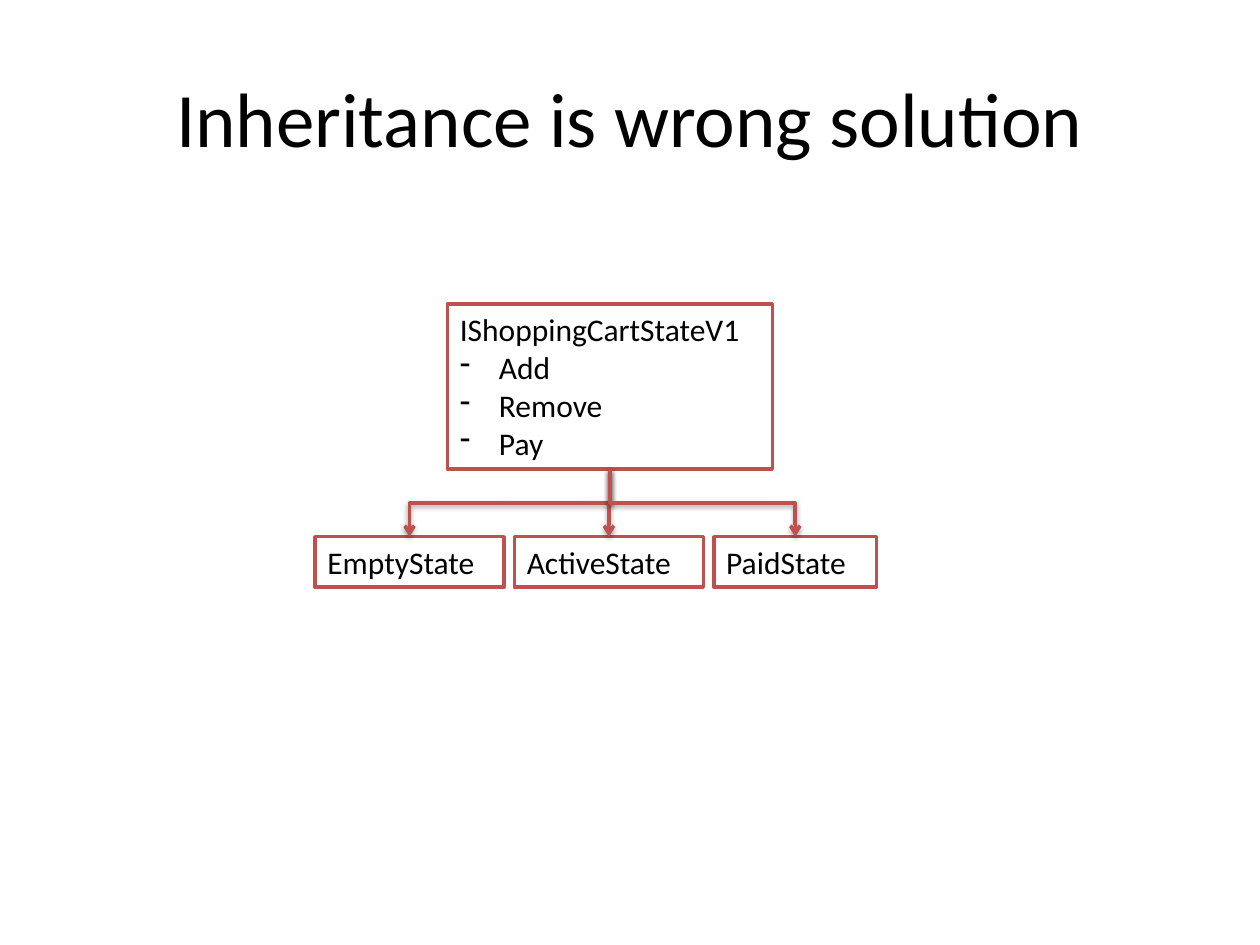
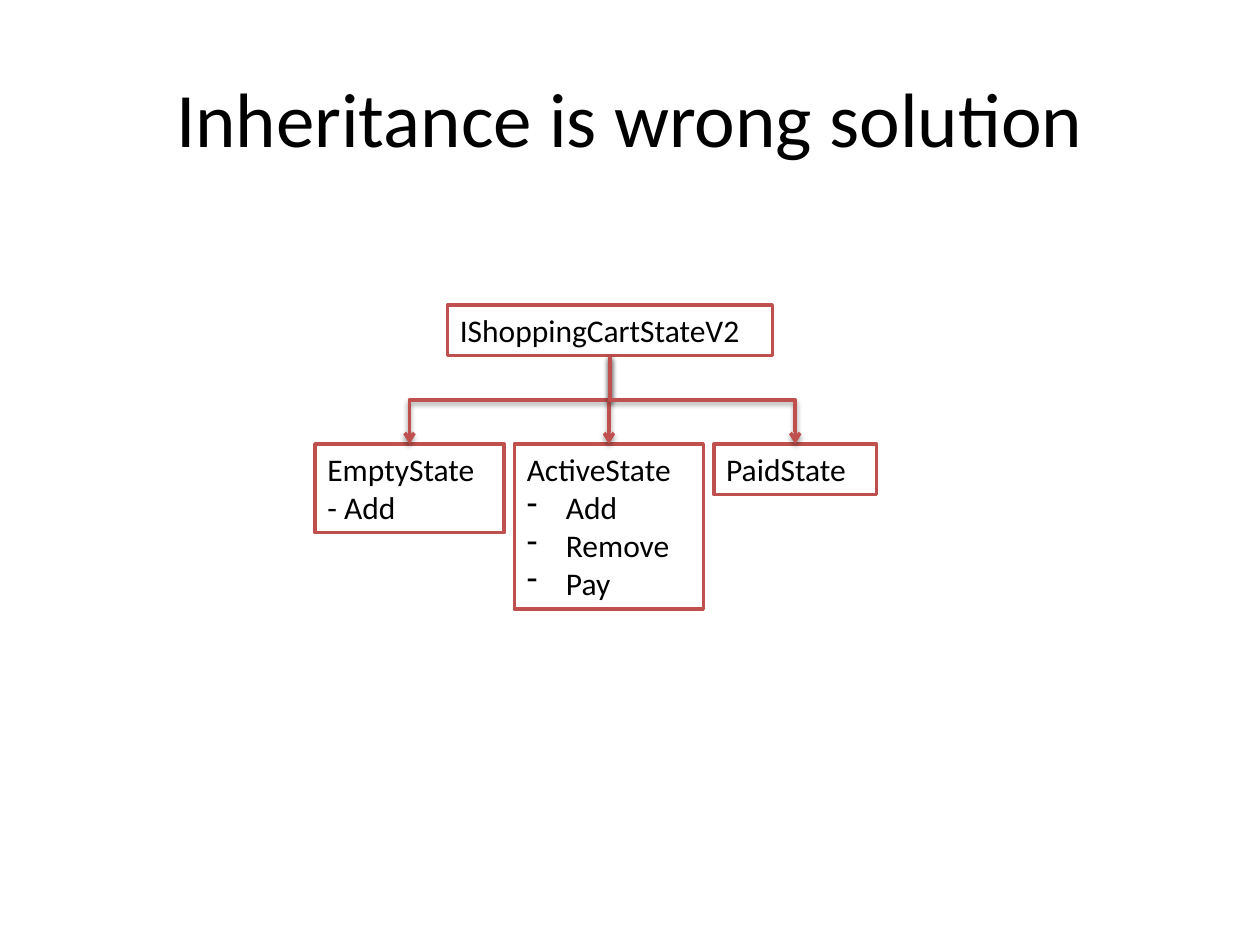
from dataclasses import dataclass

from lxml import etree
from pptx import Presentation
from pptx import util as u
from pptx.dml.color import RGBColor
from pptx.enum import shapes, text
from pptx.oxml import parse_xml
from pptx.oxml.ns import nsdecls, qn


@dataclass(frozen=True)
class Theme:
    """Colours, font and sizes that all slides share."""
    ink: str = "000000"
    paper: str = "FFFFFF"
    accent: str = "C0504D"
    font: str = "Calibri"
    title_size: int = 44
    body_size: int = 18
    line_width: int = 2
    indent: float = 0.79


# Diagram measures in centimetres
ROOT_LEFT, ROOT_WIDTH = 9.02, 6.55
ROW_LEFT, ROW_GAP = 6.35, 0.21
STATE_WIDTHS = (3.81, 3.81, 3.28)
BOX_PADDING, LINE_HEIGHT = 0.25, 0.77

SHADOW = (
    f'<a:effectLst {nsdecls("a")}>'
    '<a:outerShdw blurRad="40000" dist="20000" dir="5400000" rotWithShape="0">'
    '<a:srgbClr val="000000"><a:alpha val="38000"/></a:srgbClr>'
    '</a:outerShdw></a:effectLst>'
)


def write(p, words, theme, size, align=None, bullet=None):
    """Put formatted words into a paragraph, with a hanging bullet if given."""
    r = p.add_run()
    r.text = words
    r.font.name = theme.font
    r.font.size = u.Pt(size)
    r.font.color.rgb = RGBColor.from_string(theme.ink)
    p.alignment = align or text.PP_ALIGN.LEFT
    if bullet:
        indent = u.Cm(theme.indent)
        pPr = p._p.get_or_add_pPr()
        pPr.set("marL", str(indent))
        pPr.set("indent", str(-indent))
        etree.SubElement(pPr, qn("a:buFontTx"))
        etree.SubElement(pPr, qn("a:buChar")).set("char", bullet)


class Deck:
    """Holds the style and the slide being drawn."""

    def __init__(self, theme):
        """Start an empty 10 by 7.5 inch presentation."""
        self.theme = theme
        self.prs = Presentation()
        self.prs.slide_width, self.prs.slide_height = u.Cm(25.4), u.Cm(19.05)

    def slide(self, title):
        """Add a blank slide with its background and centred title."""
        self.s = self.prs.slides.add_slide(self.prs.slide_layouts[6])
        fill = self.s.background.fill
        fill.solid()
        fill.fore_color.rgb = RGBColor.from_string(self.theme.paper)
        sp = self.s.shapes.add_textbox(u.Cm(1.27), u.Cm(0.76), u.Cm(22.86), u.Cm(3.18))
        tf = sp.text_frame
        tf.word_wrap = True
        tf.vertical_anchor = text.MSO_ANCHOR.MIDDLE
        write(tf.paragraphs[0], title, self.theme, self.theme.title_size,
              align=text.PP_ALIGN.CENTER)

    def stroke(self, line):
        """Apply the shared outline."""
        line.color.rgb = RGBColor.from_string(self.theme.accent)
        line.width = u.Pt(self.theme.line_width)

    def box(self, group, left, top, width, name, members=(), bullet="-"):
        """Add a type box with its name and members, sized by line count."""
        height = BOX_PADDING + LINE_HEIGHT * (1 + len(members))
        sp = group.shapes.add_shape(shapes.MSO_SHAPE.RECTANGLE, u.Cm(left), u.Cm(top),
                                    u.Cm(width), u.Cm(height))
        sp.shadow.inherit = False
        sp.fill.solid()
        sp.fill.fore_color.rgb = RGBColor.from_string(self.theme.paper)
        self.stroke(sp.line)
        tf = sp.text_frame
        tf.word_wrap = True
        tf.auto_size = text.MSO_AUTO_SIZE.SHAPE_TO_FIT_TEXT
        tf.vertical_anchor = text.MSO_ANCHOR.TOP
        write(tf.paragraphs[0], name, self.theme, self.theme.body_size)
        for member in members:
            write(tf.add_paragraph(), member, self.theme, self.theme.body_size,
                  bullet=bullet)
        return sp

    def branch(self, group, parent, child):
        """Link parent's bottom to child's top by a vertical elbow arrow."""
        x1, y1 = parent.left + parent.width // 2, parent.top + parent.height
        x2, y2 = child.left + child.width // 2, child.top
        mid_x, mid_y = (x1 + x2) // 2, (y1 + y2) // 2
        # The elbow is laid flat about its centre, then turned a quarter.
        leftward = x2 <= x1
        half_run = (y2 - y1) // 2 * (1 if leftward else -1)
        half_rise = abs(x2 - x1) // 2
        c = group.shapes.add_connector(
            shapes.MSO_CONNECTOR.ELBOW, mid_x - half_run, mid_y - half_rise,
            mid_x + half_run, mid_y + half_rise)
        self.stroke(c.line)
        spPr = c._element.spPr
        spPr.find(qn("a:xfrm")).set("rot", str((90 if leftward else 270) * 60000))
        etree.SubElement(spPr.find(qn("a:ln")), qn("a:tailEnd")).set("type", "arrow")
        spPr.append(parse_xml(SHADOW))

    def hierarchy(self, root, root_top, row_top, states):
        """Draw a root type above a row of state types."""
        group = self.s.shapes.add_group_shape()
        parent = self.box(group, ROOT_LEFT, root_top, ROOT_WIDTH, **root)
        left, children = ROW_LEFT, []
        for state, width in zip(states, STATE_WIDTHS):
            children.append(self.box(group, left, row_top, width, **state))
            left += width + ROW_GAP
        for child in children:
            self.branch(group, parent, child)


def main():
    """Build both slides and save them."""
    title = "Inheritance is wrong solution"
    actions = ("Add", "Remove", "Pay")
    deck = Deck(Theme())

    deck.slide(title)
    deck.hierarchy(
        dict(name="IShoppingCartStateV1", members=actions), 6.13, 10.82,
        [dict(name="EmptyState"), dict(name="ActiveState"), dict(name="PaidState")])

    deck.slide(title)
    deck.hierarchy(
        dict(name="IShoppingCartStateV2"), 6.15, 8.95,
        [dict(name="EmptyState", members=("- Add",), bullet=None),
         dict(name="ActiveState", members=actions),
         dict(name="PaidState")])

    deck.prs.save("out.pptx")


main()
